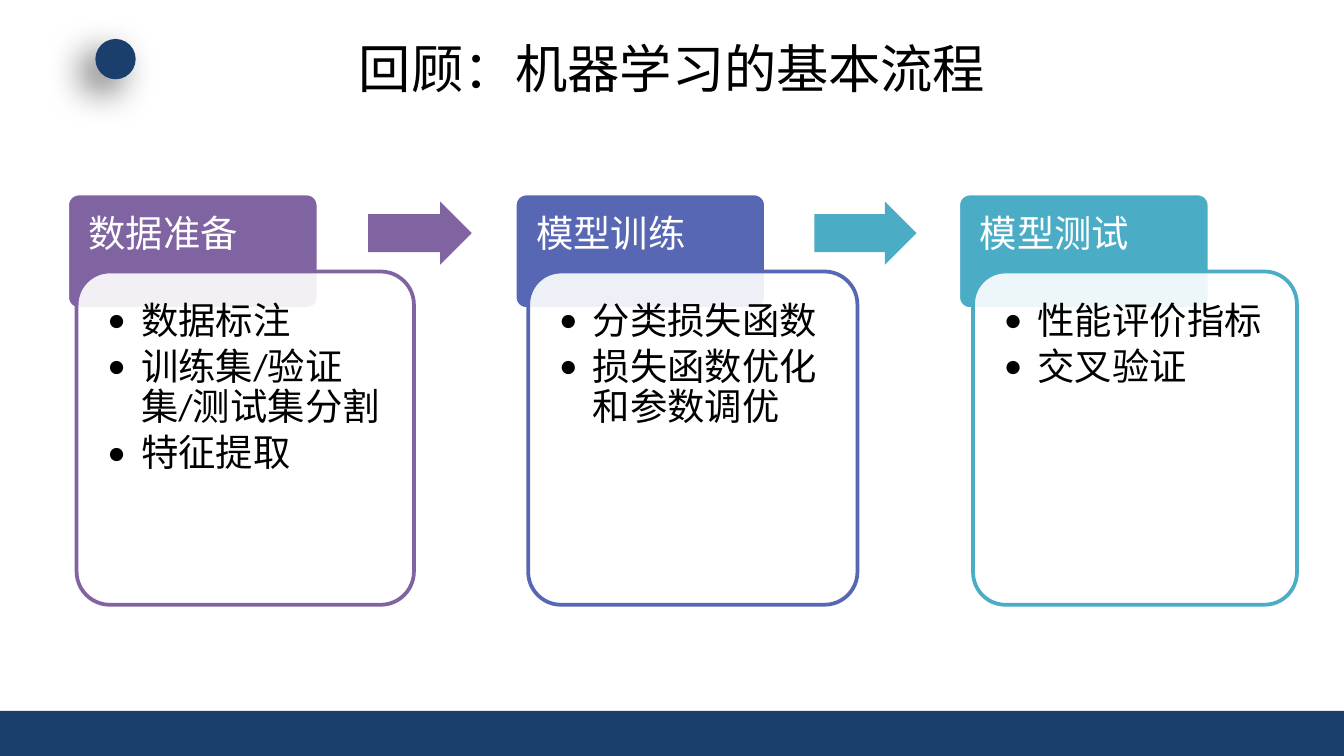
import lxml.etree
import pptx
import pptx.dml.color
import pptx.enum.lang
import pptx.enum.shapes
import pptx.enum.text
import pptx.oxml.ns
import pptx.util

Inches = pptx.util.Inches
Pt = pptx.util.Pt
SHAPE = pptx.enum.shapes.MSO_SHAPE
ALIGN = pptx.enum.text.PP_ALIGN
ANCHOR = pptx.enum.text.MSO_ANCHOR
qn = pptx.oxml.ns.qn

THEME = {
    "navy": "1A3F6C", "purple": "8064A2", "indigo": "5767B4", "teal": "4BACC6",
    "white": "FFFFFF", "black": "000000",
    "title_size": 28, "body_size": 20, "outline": 2,
    "title_font": "Noto Sans CJK SC", "body_font": "Calibri",
}


def rgb(name):
    return pptx.dml.color.RGBColor.from_string(THEME[name])


def add_block(kind, place, fill, line=None, adjustments=()):
    block = slide.shapes.add_shape(kind, *map(Inches, place))
    block.shadow.inherit = False
    block.fill.solid()
    block.fill.fore_color.rgb = rgb(fill)
    if line:
        block.line.color.rgb = rgb(line)
        block.line.width = Pt(THEME["outline"])
    else:
        block.line.fill.background()
    for index, value in enumerate(adjustments):
        block.adjustments[index] = value
    return block


deck = pptx.Presentation()
deck.slide_width = Inches(10)
deck.slide_height = deck.slide_width * 9 // 16
slide = deck.slides.add_slide(deck.slide_layouts[5])

add_block(SHAPE.RECTANGLE, (0, 5.29, 10, 0.34), "navy")
dot = add_block(SHAPE.OVAL, (0.71, 0.29, 0.3, 0.3), "navy")
effects = dot._element.spPr.find(qn("a:effectLst"))
shadow = lxml.etree.SubElement(
    effects, qn("a:outerShdw"), blurRad=str(Pt(20)), dist=str(Pt(10)),
    dir=str(135 * 60000), algn="tr", rotWithShape="0")
shadow_color = lxml.etree.SubElement(shadow, qn("a:srgbClr"), val=THEME["black"])
lxml.etree.SubElement(shadow_color, qn("a:alpha"), val="60000")

title = slide.shapes.title
title_place = {"left": 0.5, "top": 0.23, "width": 9, "height": 0.55}
for name, value in title_place.items():
    setattr(title, name, Inches(value))
title.text_frame.text = "回顾：机器学习的基本流程"
title.text_frame.vertical_anchor = ANCHOR.MIDDLE
title_para = title.text_frame.paragraphs[0]
title_para.alignment = ALIGN.CENTER
title_format = {"size": Pt(THEME["title_size"]), "name": THEME["title_font"],
                "language_id": pptx.enum.lang.MSO_LANGUAGE_ID.SIMPLIFIED_CHINESE}
for name, value in title_format.items():
    setattr(title_para.runs[0].font, name, value)
title_para.runs[0].font.color.rgb = rgb("black")

body_format = {**title_format, "size": Pt(THEME["body_size"]), "name": THEME["body_font"]}
stages = [
    ("数据准备", ["数据标注", "训练集/验证集/测试集分割", "特征提取"],
     "purple", 0.5, 0.57, 2.51),
    ("模型训练", ["分类损失函数", "损失函数优化和参数调优"],
     "indigo", 3.83, 3.93, 2.45),
    ("模型测试", ["性能评价指标", "交叉验证"],
     "teal", 7.13, 7.24, 2.41),
]
arrows = [("purple", 2.74, 0.77), ("teal", 6.06, 0.76)]
inset = 0.07

for number, (heading, items, color, tab_left, card_left, card_width) in enumerate(stages):
    add_block(SHAPE.ROUNDED_RECTANGLE, (tab_left, 1.44, 1.87, 0.86), color, "white", [0.1])
    card = add_block(SHAPE.ROUNDED_RECTANGLE, (card_left, 2.02, card_width, 2.48),
                     "white", color, [0.1])
    card_fill = card._element.spPr.find(qn("a:solidFill"))[0]
    lxml.etree.SubElement(card_fill, qn("a:alpha"), val="90000")

    texts = [
        ([heading], (tab_left, 1.44, 1.87, 0.57), "white", 0.08, 7, False),
        (items, (card_left + inset, 2.02 + inset, card_width - 2 * inset, 2.34),
         "black", 0.16, 3, True),
    ]
    for lines, place, text_color, bottom, space_after, bulleted in texts:
        box = slide.shapes.add_textbox(*map(Inches, place))
        frame_format = {
            "word_wrap": True, "vertical_anchor": ANCHOR.TOP,
            "margin_left": Inches(0.16), "margin_right": Inches(0.16),
            "margin_top": Inches(0.16), "margin_bottom": Inches(bottom),
        }
        for name, value in frame_format.items():
            setattr(box.text_frame, name, value)
        box.text_frame.text = "\n".join(lines)
        for para in box.text_frame.paragraphs:
            para_format = {"line_spacing": 0.9, "space_after": Pt(space_after),
                           "level": int(bulleted), "alignment": ALIGN.LEFT}
            for name, value in para_format.items():
                setattr(para, name, value)
            if bulleted:
                properties = para._p.get_or_add_pPr()
                properties.set("marL", str(Inches(0.25)))
                properties.set("indent", str(Inches(-0.25)))
                lxml.etree.SubElement(properties, qn("a:buFont"), typeface=THEME["body_font"])
                lxml.etree.SubElement(properties, qn("a:buChar"), char="•")
            span = para.runs[0]
            for name, value in body_format.items():
                setattr(span.font, name, value)
            span.font.color.rgb = rgb(text_color)

    if number < len(arrows):
        arrow_color, arrow_left, arrow_width = arrows[number]
        add_block(SHAPE.RIGHT_ARROW, (arrow_left, 1.5, arrow_width, 0.47),
                  arrow_color, adjustments=[0.6, 0.5])

deck.save("out.pptx")
